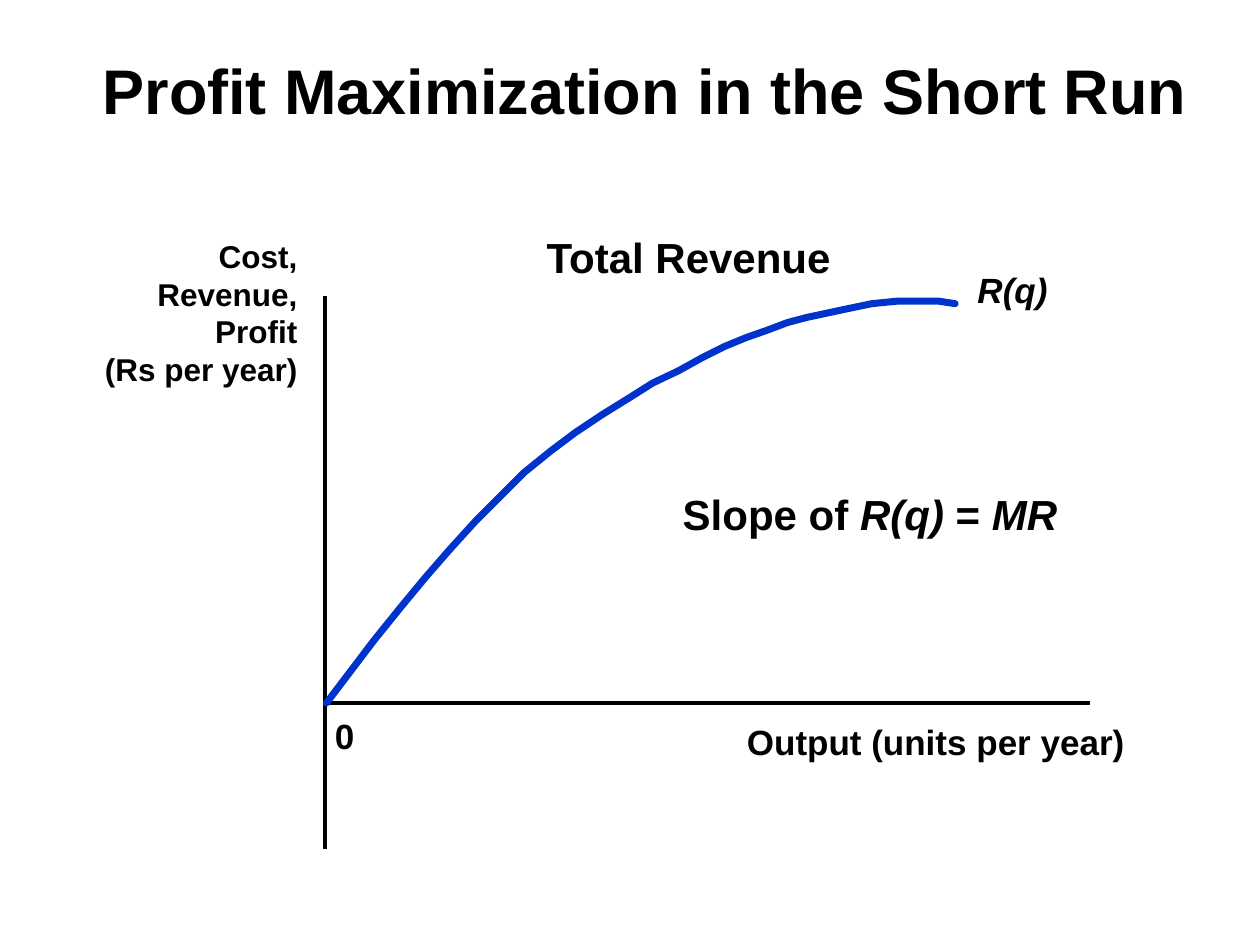
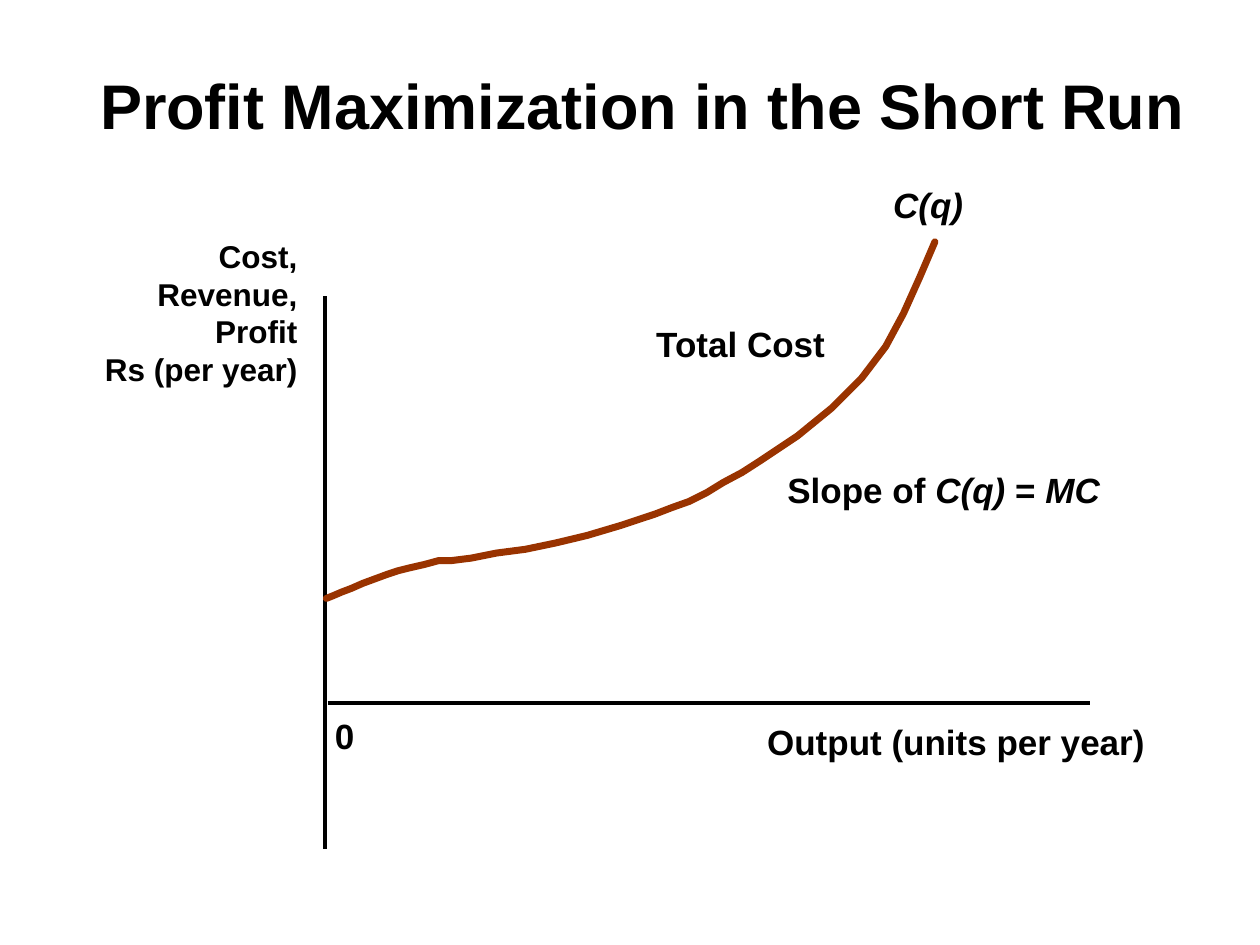
from pptx import Presentation
from pptx.dml.color import RGBColor
from pptx.enum.shapes import MSO_CONNECTOR
from pptx.enum.text import MSO_ANCHOR, PP_ALIGN
from pptx.oxml.ns import qn
from pptx.util import Emu, Pt
from lxml import etree

STRAIGHT = MSO_CONNECTOR.STRAIGHT
TOP, BOTTOM = MSO_ANCHOR.TOP, MSO_ANCHOR.BOTTOM
LEFT, CENTER, RIGHT = PP_ALIGN.LEFT, PP_ALIGN.CENTER, PP_ALIGN.RIGHT

PX = 9144  # 100 px to the inch
SLIDE_SIZE = (1000, 750)

THEME = {
    "font": "Arial",
    "ink": "000000", "revenue": "0033CC", "cost": "993300",
    "title": 36, "large": 24, "label": 20, "axis_label": 18,
    "axis_width": 2, "curve_width": 4,
}

# Content: a text is a list of paragraphs, a paragraph a list of (words, italic)
TITLE = "Profit Maximization in the Short Run"
ORIGIN_LABEL = "0"
OUTPUT_LABEL = "Output (units per year)"
VALUE_LABEL = ["Cost,", "Revenue,", "Profit"]
AXES = [(258, 235, 258, 674), (260, 558, 865, 558)]

SLIDES = [
    {
        "title_at": (60, 21), "unit": "(Rs per year)", "output_left": 583,
        "color": "revenue",
        "curve": [
            (259, 558), (297, 508), (318, 482), (337, 459), (357, 436),
            (377, 414), (397, 394), (416, 375), (437, 358), (457, 343),
            (478, 329), (499, 316), (518, 304), (539, 294), (557, 284),
            (575, 275), (592, 268), (609, 262), (625, 256), (640, 252),
            (668, 246), (692, 241), (712, 239), (729, 239), (745, 239),
            (758, 241)],
        "labels": [
            ([[("R(q)", True)]], (766, 208, 90, 43), "label"),
            ([[("Total Revenue", False)]], (424, 179, 255, 50), "large"),
            ([[("Slope of ", False), ("R(q) ", True), ("= ", False),
               ("MR", True)]], (532, 383, 325, 50), "large"),
        ],
    },
    {
        "title_at": (58, 33), "unit": "Rs (per year)", "output_left": 599,
        "color": "cost",
        "curve": [
            (259, 475), (264, 473), (271, 470), (279, 467), (288, 463),
            (307, 456), (316, 453), (324, 451), (337, 448), (348, 445),
            (358, 445), (366, 444), (374, 443), (394, 439), (417, 436),
            (441, 431), (466, 425), (493, 417), (520, 408), (533, 403),
            (547, 398), (561, 391), (574, 383), (589, 375), (603, 366),
            (633, 346), (660, 324), (672, 312), (684, 300), (703, 275),
            (717, 249), (730, 220), (742, 192)],
        "labels": [
            ([[("C(q)", True)]], (699, 141, 90, 43), "label"),
            ([[("Total Cost", False)]], (511, 251, 165, 44), "label"),
            ([[("Slope of ", False), ("C(q) ", True), ("= ", False),
               ("MC", True)]], (615, 367, 275, 44), "label"),
        ],
    },
]


def plain(*lines):
    """Upright paragraphs, one for each line."""
    return [[(line, False)] for line in lines]


def add_text(slide, paragraphs, box, size="label", align=LEFT, anchor=TOP,
             wrap=False):
    shape = slide.shapes.add_textbox(*(Emu(value * PX) for value in box))
    frame = shape.text_frame
    frame.word_wrap = wrap
    frame.vertical_anchor = anchor
    for index, runs in enumerate(paragraphs):
        paragraph = frame.add_paragraph() if index else frame.paragraphs[0]
        paragraph.alignment = align
        for words, italic in runs:
            run = paragraph.add_run()
            run.text = words
            run.font.name = THEME["font"]
            run.font.size = Pt(THEME[size])
            run.font.bold = True
            run.font.italic = italic
            run.font.color.rgb = RGBColor.from_string(THEME["ink"])


def set_line(shape, color, width):
    shape.line.color.rgb = RGBColor.from_string(THEME[color])
    shape.line.width = Pt(THEME[width])


def add_axis(slide, ends):
    axis = slide.shapes.add_connector(STRAIGHT, *(Emu(v * PX) for v in ends))
    set_line(axis, "ink", "axis_width")
    etree.SubElement(axis._element.spPr, qn("a:effectLst"))


def add_curve(slide, points, color):
    builder = slide.shapes.build_freeform(*points[0], scale=PX)
    builder.add_line_segments(points[1:], close=False)
    curve = builder.convert_to_shape()
    curve.shadow.inherit = False
    curve.fill.background()
    set_line(curve, color, "curve_width")
    # Round ends and joins
    line = curve._element.spPr.find(qn("a:ln"))
    line.set("cap", "rnd")
    etree.SubElement(line, qn("a:round"))


def build_slide(presentation, content):
    slide = presentation.slides.add_slide(presentation.slide_layouts[6])
    add_text(slide, plain(TITLE), (*content["title_at"], 904, 85),
             size="title", align=CENTER, anchor=BOTTOM, wrap=True)

    # Axes and their labels
    for ends in AXES:
        add_axis(slide, ends)
    add_text(slide, plain(ORIGIN_LABEL), (256, 562, 40, 43))
    add_text(slide, plain(*VALUE_LABEL, content["unit"]), (66, 183, 180, 130),
             size="axis_label", align=RIGHT)
    add_text(slide, plain(OUTPUT_LABEL), (content["output_left"], 567, 330, 43))

    # Curve and its labels
    add_curve(slide, content["curve"], content["color"])
    for paragraphs, box, size in content["labels"]:
        add_text(slide, paragraphs, box, size=size)


def main():
    presentation = Presentation()
    presentation.slide_width, presentation.slide_height = (
        Emu(value * PX) for value in SLIDE_SIZE)
    for content in SLIDES:
        build_slide(presentation, content)
    presentation.save("out.pptx")


if __name__ == "__main__":
    main()
